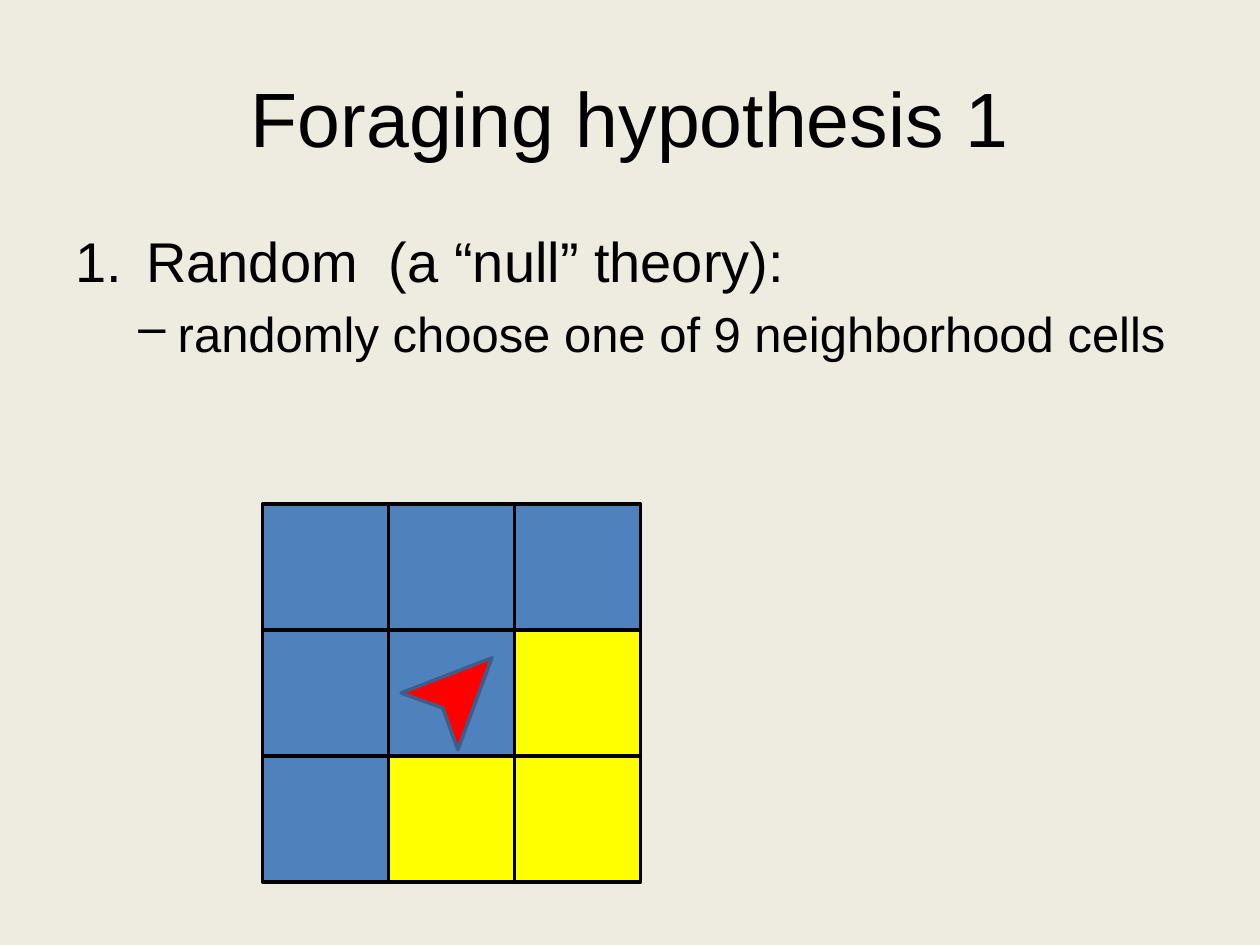
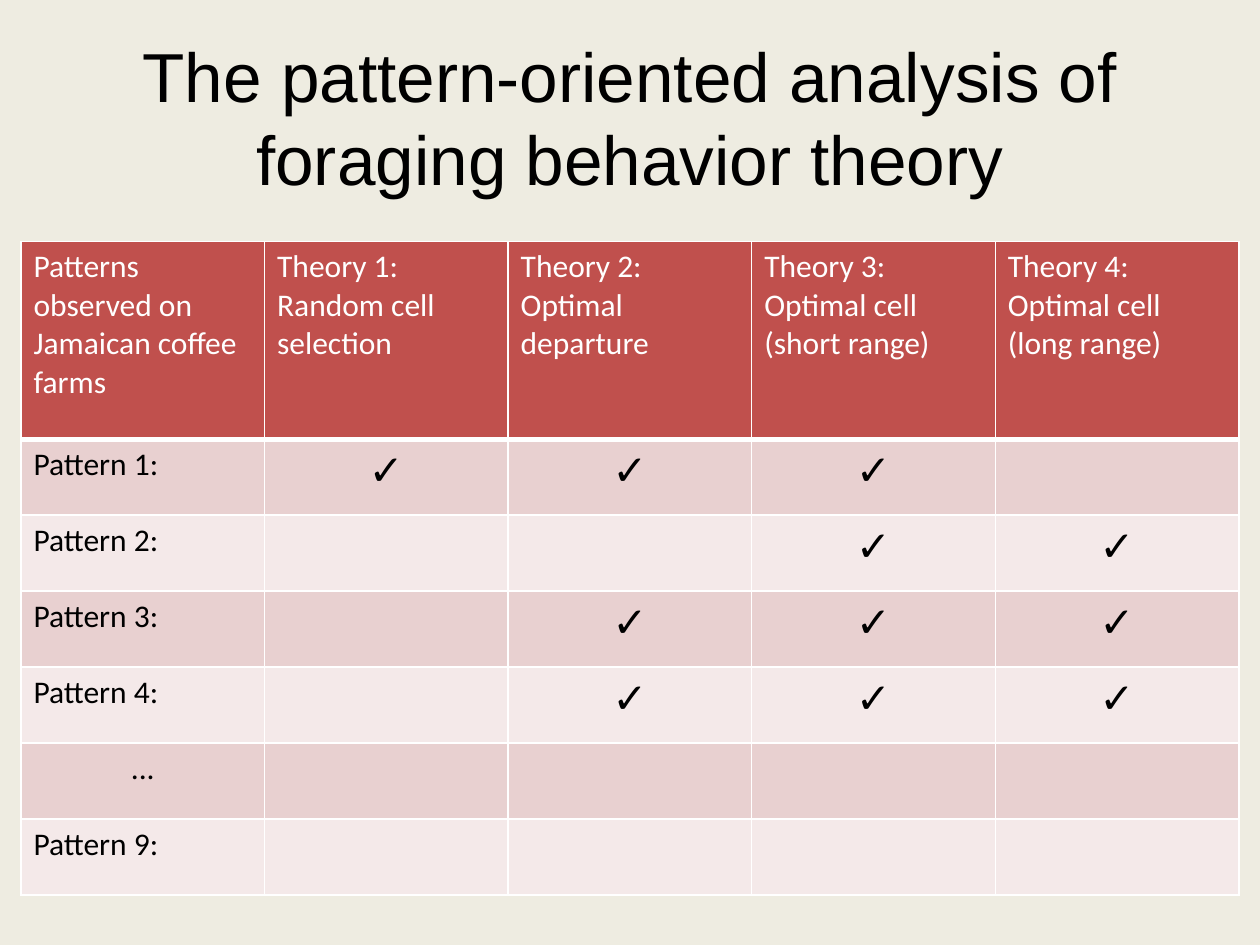
from dataclasses import dataclass

from lxml import etree
from pptx import Presentation
from pptx.dml.color import RGBColor
from pptx.enum.shapes import MSO_SHAPE
from pptx.enum.text import MSO_ANCHOR, PP_ALIGN
from pptx.oxml.ns import qn
from pptx.util import Pt

RECTANGLE = MSO_SHAPE.RECTANGLE
MIDDLE = MSO_ANCHOR.MIDDLE
CENTER = PP_ALIGN.CENTER
LEFT = PP_ALIGN.LEFT


@dataclass(frozen=True)
class Theme:
    background: str = "EEECE1"
    ink: str = "000000"
    white: str = "FFFFFF"
    blue: str = "4F81BD"
    yellow: str = "FFFF00"
    red: str = "FF0000"
    arrow_edge: str = "3A5F8C"
    header: str = "C0504D"
    bands: tuple = ("E8D0D0", "F4E9E9")
    heading_font: str = "Arial"
    table_font: str = "Calibri"
    title_size: float = 44
    long_title_size: float = 39.6
    item_size: float = 32
    detail_size: float = 28
    cell_size: float = 18
    tick_size: float = 24


THEME = Theme()
TITLE_BOX = (36, 21.6, 648, 90)
BODY_BOX = (36, 126, 648, 356.4)
GRID_BOX = (150, 288, 216, 216)
TABLE_BOX = (12, 138, 696, 373.5)
HEADER_HEIGHT = 113

GRID = ["BBB", "BBY", "BYY"]
CELL_COLOURS = {"B": THEME.blue, "Y": THEME.yellow}
ARROW_POINTS = [(7.2, 36), (59.1, 15.9), (39.6, 68.4), (31, 44.6)]

TICK = "✓"
HEADINGS = [
    ["Patterns observed on Jamaican coffee farms"],
    ["Theory 1:", "Random cell selection"],
    ["Theory 2:", "Optimal departure"],
    ["Theory 3:", "Optimal cell (short range)"],
    ["Theory 4:", "Optimal cell (long range)"],
]
SUPPORTED_THEORIES = {
    "Pattern 1:": (1, 2, 3),
    "Pattern 2:": (3, 4),
    "Pattern 3:": (2, 3, 4),
    "Pattern 4:": (2, 3, 4),
    "...": (),
    "Pattern 9:": (),
}


def points(values):
    return [Pt(value) for value in values]


def set_font(font, size, name=THEME.heading_font, colour=THEME.ink):
    for key, value in {"size": Pt(size), "name": name}.items():
        setattr(font, key, value)
    font.color.rgb = RGBColor.from_string(colour)


def paint(shape, fill, edge):
    shape.shadow.inherit = False
    shape.fill.solid()
    shape.fill.fore_color.rgb = RGBColor.from_string(fill)
    shape.line.color.rgb = RGBColor.from_string(edge)
    shape.line.width = Pt(2)


def add_page(deck):
    page = deck.slides.add_slide(deck.slide_layouts[6])
    page.background.fill.solid()
    page.background.fill.fore_color.rgb = RGBColor.from_string(THEME.background)
    return page


def add_text_frame(page, box):
    frame = page.shapes.add_textbox(*points(box)).text_frame
    frame.word_wrap = True
    return frame


def add_title(page, text, size, box=TITLE_BOX):
    frame = add_text_frame(page, box)
    frame.vertical_anchor = MIDDLE
    para = frame.paragraphs[0]
    para.alignment = CENTER
    span = para.add_run()
    span.text = text
    set_font(span.font, size)


def add_bullet(para, margin, indent, tag, attributes):
    properties = para._p.get_or_add_pPr()
    for key, value in {"marL": margin, "indent": indent}.items():
        properties.set(key, str(Pt(value)))
    bullet = etree.SubElement(properties, qn(tag))
    for key, value in attributes.items():
        bullet.set(key, value)


def add_hypothesis(page, item, detail, box):
    frame = add_text_frame(page, box)
    item_para = frame.paragraphs[0]
    detail_para = frame.add_paragraph()
    add_bullet(item_para, 40.5, -40.5, "a:buAutoNum", {"type": "arabicPeriod"})
    add_bullet(detail_para, 58.5, -22.5, "a:buChar", {"char": "–"})
    detail_para.level = 1
    detail_para.space_before = Pt(5.6)
    for para, text, size in (
        (item_para, item, THEME.item_size),
        (detail_para, detail, THEME.detail_size),
    ):
        span = para.add_run()
        span.text = text
        set_font(span.font, size)


def add_neighborhood(page, box):
    left, top, width, height = box
    cell_width, cell_height = width / len(GRID[0]), height / len(GRID)
    for row, codes in enumerate(GRID):
        for column, code in enumerate(codes):
            cell_box = (left + column * cell_width, top + row * cell_height,
                        cell_width, cell_height)
            cell = page.shapes.add_shape(RECTANGLE, *points(cell_box))
            paint(cell, CELL_COLOURS[code], THEME.ink)
    add_forager(page, left + cell_width, top + cell_height)


def add_forager(page, left, top):
    corners = [points((left + x, top + y)) for x, y in ARROW_POINTS]
    builder = page.shapes.build_freeform(*corners[0])
    builder.add_line_segments(corners[1:], close=True)
    paint(builder.convert_to_shape(), THEME.red, THEME.arrow_edge)


def set_borders(cell, widths):
    properties = cell._tc.get_or_add_tcPr()
    for position, (side, width) in enumerate(widths.items()):
        line = etree.Element(qn(f"a:{side}"), w=str(Pt(width)))
        fill = etree.SubElement(line, qn("a:solidFill"))
        etree.SubElement(fill, qn("a:srgbClr"), val=THEME.white)
        properties.insert(position, line)


def fill_cell(cell, lines, fill, size, colour, alignment, bottom=1):
    cell.fill.solid()
    cell.fill.fore_color.rgb = RGBColor.from_string(fill)
    set_borders(cell, {"lnL": 1, "lnR": 1, "lnT": 1, "lnB": bottom})
    cell.text = "\n".join(lines)
    for para in cell.text_frame.paragraphs:
        para.alignment = alignment
        set_font(para.font, size, THEME.table_font, colour)
        for span in para.runs:
            set_font(span.font, size, THEME.table_font, colour)


def add_theory_table(page, box):
    height = box[3]
    row_count, column_count = len(SUPPORTED_THEORIES) + 1, len(HEADINGS)
    table = page.shapes.add_table(row_count, column_count, *points(box)).table
    for row in table.rows:
        row.height = Pt((height - HEADER_HEIGHT) / len(SUPPORTED_THEORIES))
    table.rows[0].height = Pt(HEADER_HEIGHT)
    for column, lines in enumerate(HEADINGS):
        fill_cell(table.cell(0, column), lines, THEME.header, THEME.cell_size,
                  THEME.white, LEFT, bottom=3)
    for row, (pattern, theories) in enumerate(SUPPORTED_THEORIES.items(), 1):
        band = THEME.bands[(row - 1) % 2]
        label_alignment = CENTER if pattern == "..." else LEFT
        fill_cell(table.cell(row, 0), [pattern], band, THEME.cell_size,
                  THEME.ink, label_alignment)
        for theory in range(1, column_count):
            supported = theory in theories
            size = THEME.tick_size if supported else THEME.cell_size
            fill_cell(table.cell(row, theory), [TICK] if supported else [],
                      band, size, THEME.ink, CENTER)


def build_hypothesis_page(deck):
    page = add_page(deck)
    add_title(page, "Foraging hypothesis 1", THEME.title_size)
    add_hypothesis(page, "Random  (a “null” theory):",
                   "randomly choose one of 9 neighborhood cells", BODY_BOX)
    add_neighborhood(page, GRID_BOX)


def build_analysis_page(deck):
    page = add_page(deck)
    add_title(page, "The pattern-oriented analysis of foraging behavior theory",
              THEME.long_title_size)
    add_theory_table(page, TABLE_BOX)


def main():
    deck = Presentation()
    deck.slide_width, deck.slide_height = points((720, 540))
    build_hypothesis_page(deck)
    build_analysis_page(deck)
    deck.save("out.pptx")


if __name__ == "__main__":
    main()
